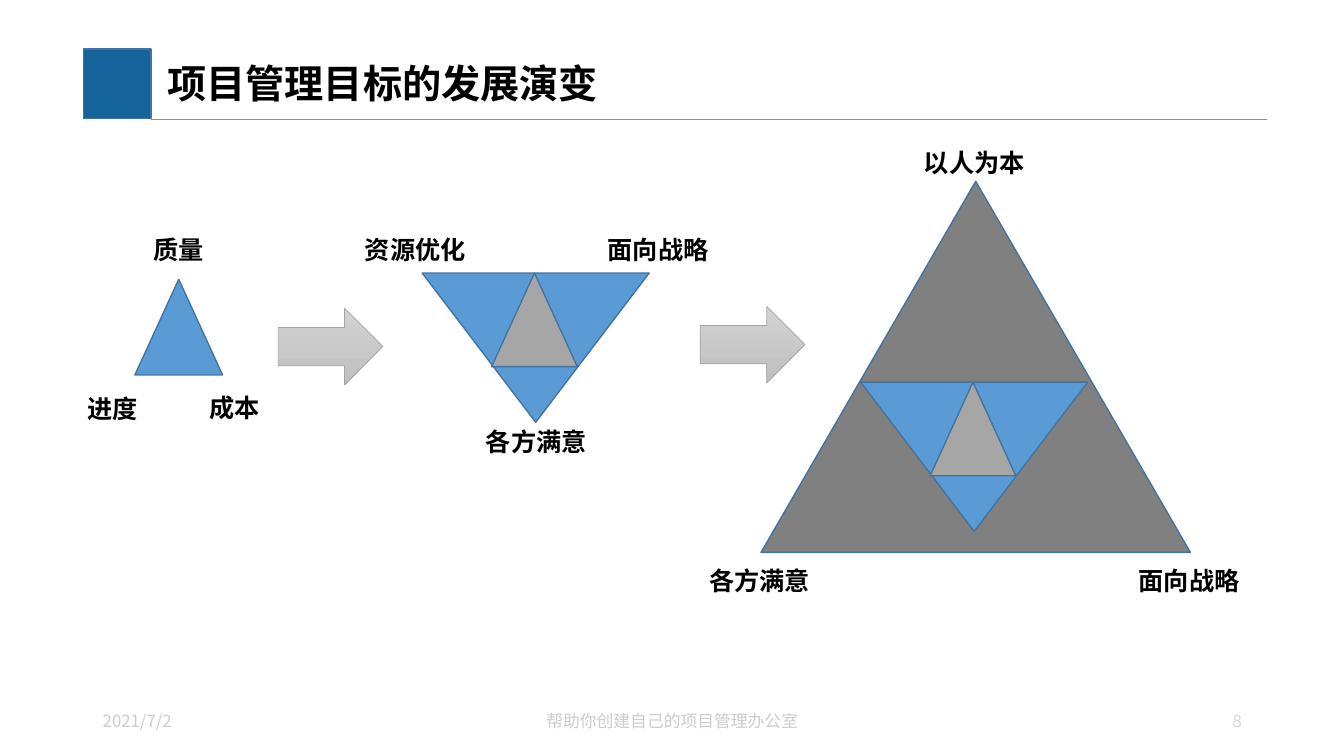
from lxml.etree import SubElement
from pptx import Presentation
from pptx.dml.color import RGBColor as Rgb
from pptx.enum.shapes import MSO_CONNECTOR as Conn, MSO_SHAPE as Shape
from pptx.enum.text import MSO_ANCHOR as Anchor, MSO_AUTO_SIZE as Auto, PP_ALIGN as Align
from pptx.oxml.ns import qn
from pptx.util import Cm, Pt

FONT = "Noto Sans CJK SC"
COLORS = {
    "navy": "15639B", "blue": "5B9BD5", "edge": "43739E", "black": "000000",
    "grey": "A6A6A6", "dark": "808080", "rim": "A5A5A5",
    "light": "D2D2D2", "shade": "C0C0C0", "foot": "CCCCCC", "page": "D6D6D6",
}
TITLE = "项目管理目标的发展演变"
FOOTERS = [
    ("2021/7/2", (2.34, 17.65, 7.62, 1.02), Align.LEFT, "foot"),
    ("帮助你创建自己的项目管理办公室", (11.23, 17.65, 11.43, 1.02), Align.CENTER, "foot"),
    ("8", (24.54, 17.63, 7.01, 1.07), Align.RIGHT, "page"),
]
LABELS = [
    ("质量", 4.51, 5.77), ("进度", 2.86, 9.78), ("成本", 5.93, 9.75),
    ("资源优化", 10.48, 5.77), ("面向战略", 16.6, 5.77), ("各方满意", 13.53, 10.62),
    ("以人为本", 24.57, 3.58), ("面向战略", 29.98, 14.12), ("各方满意", 19.16, 14.12),
]
SMALL = (3.4, 7.04, 2.21, 2.41)
LARGE = (19.18, 4.57, 10.82, 9.35)
NESTS = [(10.64, 6.88), (21.69, 9.63)]
ARROWS = [(7.01, 7.77), (17.65, 7.72)]

deck = Presentation()
deck.slide_width, deck.slide_height = Cm(33.87), Cm(19.05)
slide = deck.slides.add_slide(deck.slide_layouts[6])
shapes = slide.shapes


def color(name):
    return Rgb.from_string(COLORS[name])


def add_shape(kind, box, fill, edge="edge", width=1):
    shape = shapes.add_shape(kind, *map(Cm, box))
    shape.shadow.inherit = False
    if fill:
        shape.fill.solid()
        shape.fill.fore_color.rgb = color(fill)
    shape.line.color.rgb = color(edge)
    shape.line.width = Pt(width)
    return shape


def add_text(text, box, size, tint="black", bold=False, align=Align.LEFT, anchor=Anchor.MIDDLE):
    frame = shapes.add_textbox(*map(Cm, box)).text_frame
    frame.word_wrap = True
    frame.vertical_anchor = anchor
    para = frame.paragraphs[0]
    para.text = text
    para.alignment = align
    font = para.font
    font.name, font.size, font.bold = FONT, Pt(size), bold
    font.color.rgb = color(tint)
    SubElement(para._p.pPr.find(qn("a:defRPr")), qn("a:ea"), typeface=FONT)
    return frame


def add_nest(left, top):
    outer = add_shape(Shape.ISOSCELES_TRIANGLE, (left, top, 5.72, 3.76), "blue")
    outer.rotation = 180
    add_shape(Shape.ISOSCELES_TRIANGLE, (left + 1.75, top, 2.16, 2.36), "grey")


def add_arrow(left, top):
    arrow = add_shape(Shape.RIGHT_ARROW, (left, top, 2.64, 1.93), None, "rim", 0.5)
    arrow.fill.gradient()
    arrow.fill.gradient_angle = 270
    for stop, name in zip(arrow.fill.gradient_stops, ("light", "shade")):
        stop.color.rgb = color(name)


add_shape(Shape.RECTANGLE, (2.11, 1.24, 1.7, 1.75), "navy")
rule = shapes.add_connector(Conn.STRAIGHT, Cm(3.81), Cm(3), Cm(31.93), Cm(3))
rule.line.color.rgb = color("blue")
rule.line.width = Pt(0.5)
SubElement(rule._element.spPr, qn("a:effectLst"))

title = add_text(TITLE, (3.81, 1.27, 28.12, 1.78), 28, bold=True)
title.margin_left = Cm(0.41)
title.paragraphs[0].line_spacing = 0.9
for text, box, align, tint in FOOTERS:
    add_text(text, box, 12, tint, align=align)

add_shape(Shape.ISOSCELES_TRIANGLE, SMALL, "blue")
add_shape(Shape.ISOSCELES_TRIANGLE, LARGE, "dark")
for spot in NESTS:
    add_nest(*spot)
for spot in ARROWS:
    add_arrow(*spot)

for text, mid, top in LABELS:
    width = 0.53 + 0.635 * len(text)
    label = add_text(text, (mid - width / 2, top, width, 1.02), 18, bold=True, anchor=Anchor.TOP)
    label.word_wrap = False
    label.auto_size = Auto.SHAPE_TO_FIT_TEXT

deck.save("out.pptx")
